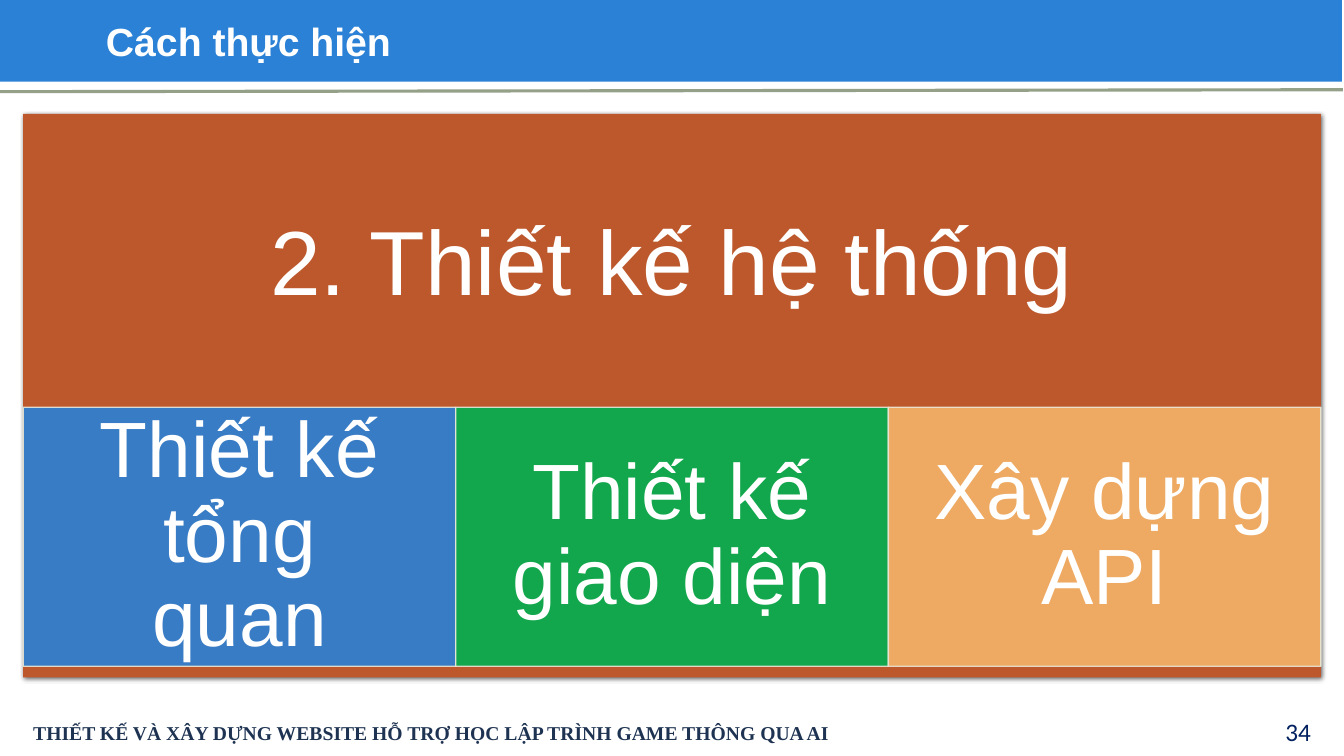
from lxml.etree import SubElement
from pptx import Presentation
from pptx.dml.color import RGBColor
from pptx.enum.shapes import MSO_CONNECTOR, MSO_SHAPE
from pptx.enum.text import MSO_ANCHOR, MSO_AUTO_SIZE, PP_ALIGN
from pptx.oxml.ns import qn
from pptx.util import Inches, Pt

WHITE = RGBColor(0xFF, 0xFF, 0xFF)
BLUE = RGBColor(0x2A, 0x81, 0xD6)
GREEN = RGBColor(0x00, 0xB0, 0x50)
SAND = RGBColor(0xF4, 0xB4, 0x69)
RUST = RGBColor(0xBD, 0x58, 0x2C)
SAGE = RGBColor(0x94, 0xA0, 0x88)
CREAM = RGBColor(0xE9, 0xE7, 0xD7)
NAVY = RGBColor(0x00, 0x20, 0x60)
INK = RGBColor(0x1E, 0x33, 0x52)


def write(shape, text, size=18, font="Arial", color=WHITE, bold=False,
          align=PP_ALIGN.LEFT, anchor=MSO_ANCHOR.TOP, pad=(0.1, 0.05), space=None):
    frame = shape.text_frame
    frame.word_wrap = True
    frame.auto_size = MSO_AUTO_SIZE.NONE
    frame.vertical_anchor = anchor
    frame.margin_left = frame.margin_right = Inches(pad[0])
    frame.margin_top = frame.margin_bottom = Inches(pad[1])
    frame.text = text
    line = frame.paragraphs[0]
    line.alignment = align
    line.line_spacing = space
    line.font.size = Pt(size)
    line.font.name = font
    line.font.bold = bold
    line.font.color.rgb = color


def fade(fill, share):
    """Set the opacity of a solid fill element, in percent."""
    SubElement(fill[0], qn("a:alpha"), val=str(share * 1000))


class Board:
    """Draws on one slide; lengths are percent of the slide's size."""

    def __init__(self, deck):
        self.deck = deck
        self.slide = deck.slides.add_slide(deck.slide_layouts[5])
        self.shapes = self.slide.shapes

    def scale(self, *sides):
        full = (self.deck.slide_width, self.deck.slide_height) * 2
        return [int(side * size / 100) for side, size in zip(sides, full)]

    def title(self, box, text, **style):
        shape = self.shapes.title
        shape.left, shape.top, shape.width, shape.height = self.scale(*box)
        # Bring the title in front of the band
        self.shapes.element.append(shape.element)
        write(shape, text, **style)

    def text(self, box, text, **style):
        write(self.shapes.add_textbox(*self.scale(*box)), text, **style)

    def rect(self, box, color):
        shape = self.shapes.add_shape(MSO_SHAPE.RECTANGLE, *self.scale(*box))
        shape.shadow.inherit = False
        shape.fill.solid()
        shape.fill.fore_color.rgb = color
        shape.line.fill.background()
        return shape

    def panel(self, box, color):
        shape = self.rect(box, color)
        effects = shape.element.spPr.find(qn("a:effectLst"))
        shade = SubElement(effects, qn("a:outerShdw"), blurRad=str(Pt(3)),
                           dist=str(Pt(2)), dir="2700000", rotWithShape="0")
        fade([SubElement(shade, qn("a:srgbClr"), val="000000")], 60)

    def tile(self, box, color, text, **style):
        shape = self.rect(box, color)
        shape.line.color.rgb = CREAM
        shape.line.width = Pt(1)
        for fill in shape.element.spPr.iter(qn("a:solidFill")):
            fade(fill, 90)
        write(shape, text, **style)

    def rule(self, ends, color, width):
        line = self.shapes.add_connector(MSO_CONNECTOR.STRAIGHT, *self.scale(*ends))
        line.line.color.rgb = color
        line.line.width = Pt(width)
        SubElement(line.element.spPr, qn("a:effectLst"))


def main():
    deck = Presentation()
    deck.slide_width, deck.slide_height = Inches(13.33), Inches(7.5)
    board = Board(deck)
    left, wide = 1.73, 96.55
    middle = dict(align=PP_ALIGN.CENTER, anchor=MSO_ANCHOR.MIDDLE, space=0.9)

    # Header
    board.rect((-0.15, -0.13, 100, 10.93), BLUE)
    board.rule((0, 12.13, 99.92, 11.87), SAGE, 2.25)
    board.title((7.13, 1.07, 92.2, 8.13), "Cách thực hiện",
                size=28, bold=True, anchor=MSO_ANCHOR.BOTTOM)

    # Footer
    board.text((87.55, 94.67, 10.73, 4.27), "34", font="Calibri", color=NAVY,
               align=PP_ALIGN.RIGHT, anchor=MSO_ANCHOR.MIDDLE)
    board.text((left, 94.67, 76.74, 5.2),
               "THIẾT KẾ VÀ XÂY DỰNG WEBSITE HỖ TRỢ HỌC LẬP TRÌNH GAME THÔNG QUA AI",
               size=14, font="Times New Roman", color=INK, bold=True)

    # Main panel and its heading
    board.panel((left, 15.07, wide, 74.53), RUST)
    board.text((left, 15.07, wide, 40.27), "2. Thiết kế hệ thống",
               size=65, pad=(0.51, 0.51), **middle)

    # Row of three steps
    steps = [("Thiết kế tổng quan", BLUE), ("Thiết kế giao diện", GREEN),
             ("Xây dựng API", SAND)]
    step = wide / len(steps)
    for col, (text, color) in enumerate(steps):
        board.tile((left + col * step, 53.87, step, 34.27), color, text,
                   size=56, pad=(0.44, 0.08), **middle)

    deck.save("out.pptx")


if __name__ == "__main__":
    main()
